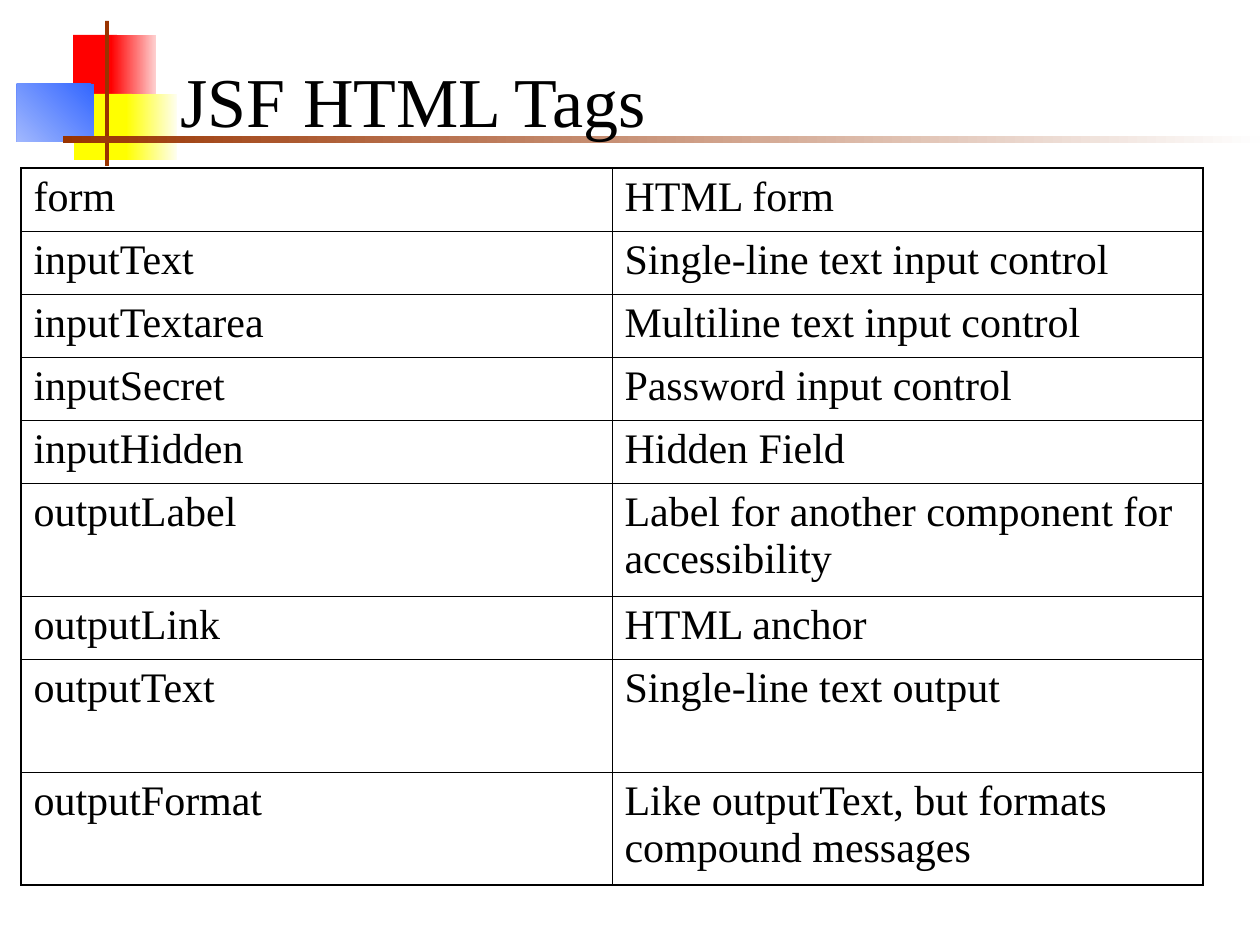
import pptx
import pptx.util
import pptx.oxml
import pptx.oxml.ns
import pptx.dml.color
import pptx.enum.shapes
import pptx.enum.text

SCALE = 914400 / 126
COLORS = {
    "text": "000000", "red": "FF0000", "pale_red": "FED0D0",
    "yellow": "FFFF00", "pale_yellow": "FEFEEF", "blue": "3366FF",
    "pale_blue": "A1B8FE", "brown": "993300", "white": "FEFEFE",
}


def px(length):
    return pptx.util.Emu(round(length * SCALE))


def rgb(color):
    return pptx.dml.color.RGBColor.from_string(COLORS[color])


def write_text(frame, text, size, font="Times New Roman", color="text",
               before=0, anchor=None):
    paragraph = frame.paragraphs[0]
    paragraph.alignment = pptx.enum.text.PP_ALIGN.LEFT
    paragraph.space_before = pptx.util.Pt(before)
    run = paragraph.add_run()
    run.text = text
    run.font.name = font
    run.font.size = pptx.util.Pt(size)
    run.font.color.rgb = rgb(color)
    if anchor is not None:
        frame.vertical_anchor = anchor


class SlideBuilder:
    thin, thick = 0.45, 1.08

    def __init__(self, presentation):
        self.slide = presentation.slides.add_slide(presentation.slide_layouts[5])

    def block(self, box, colors, angle=180):
        """Draw a rectangle, plain for one colour, graded for two."""
        block = self.slide.shapes.add_shape(
            pptx.enum.shapes.MSO_SHAPE.RECTANGLE, *map(px, box))
        block.shadow.inherit = False
        block.line.fill.background()
        if len(colors) == 1:
            block.fill.solid()
            block.fill.fore_color.rgb = rgb(colors[0])
            return
        block.fill.gradient()
        block.fill.gradient_angle = angle
        for stop, color, position in zip(block.fill.gradient_stops, colors, (0, 1)):
            stop.color.rgb = rgb(color)
            stop.position = position

    def title(self, box, text):
        title = self.slide.shapes.title
        title.left, title.top, title.width, title.height = map(px, box)
        title.text_frame.word_wrap = True
        write_text(title.text_frame, text, 40,
                   anchor=pptx.enum.text.MSO_ANCHOR.BOTTOM)
        # Bring the title in front of the decoration
        self.slide.shapes._spTree.append(title._element)

    def borders(self, cell, widths):
        properties = cell._tc.get_or_add_tcPr()
        for index, (side, width) in enumerate(zip("LRTB", widths)):
            properties.insert(index, pptx.oxml.parse_xml(
                f'<a:ln{side} {pptx.oxml.ns.nsdecls("a")} w="{round(width * 12700)}">'
                f'<a:solidFill><a:srgbClr val="{COLORS["text"]}"/></a:solidFill>'
                f'</a:ln{side}>'))

    def table(self, left, top, widths, heights, rows):
        table = self.slide.shapes.add_table(
            len(rows), len(widths), px(left), px(top),
            px(sum(widths)), px(sum(heights))).table
        table.first_row = table.horz_banding = False
        for column, width in zip(table.columns, widths):
            column.width = px(width)
        for row, height in zip(table.rows, heights):
            row.height = px(height)
        last_row, last_column = len(rows) - 1, len(widths) - 1
        for r, texts in enumerate(rows):
            for c, text in enumerate(texts):
                cell = table.cell(r, c)
                cell.fill.background()
                write_text(cell.text_frame, text, 24, before=6)
                outer = (c == 0, c == last_column, r == 0, r == last_row)
                self.borders(cell, [self.thick if edge else self.thin
                                    for edge in outer])


presentation = pptx.Presentation()
presentation.slide_width, presentation.slide_height = px(1260), px(945)
tags_slide = SlideBuilder(presentation)

# Corner decoration and title rule
tags_slide.block((73, 35, 44, 66), ["red"])
tags_slide.block((111, 35, 45, 66), ["pale_red", "red"])
tags_slide.block((74, 94, 58, 66), ["yellow"])
tags_slide.block((126, 94, 51, 66), ["pale_yellow", "yellow"])
tags_slide.block((17, 84, 77, 58), ["blue", "pale_blue"], angle=225)
tags_slide.block((105, 21, 4, 145), ["brown"])
tags_slide.block((63, 136, 1197, 7), ["white", "brown"])

# Title
tags_slide.title((168, 32, 1074, 116), "JSF HTML Tags")

# Tags and their meanings
tags = [
    ("form", "HTML form"),
    ("inputText", "Single-line text input control"),
    ("inputTextarea", "Multiline text input control"),
    ("inputSecret", "Password input control"),
    ("inputHidden", "Hidden Field"),
    ("outputLabel", "Label for another component for accessibility"),
    ("outputLink", "HTML anchor"),
    ("outputText", "Single-line text output"),
    ("outputFormat", "Like outputText, but formats compound messages"),
]
tall_tags = {"outputLabel", "outputText", "outputFormat"}
row_heights = [113 if tag in tall_tags else 63 for tag, meaning in tags]
tags_slide.table(21, 168, [591, 591], row_heights, tags)

presentation.save("out.pptx")
